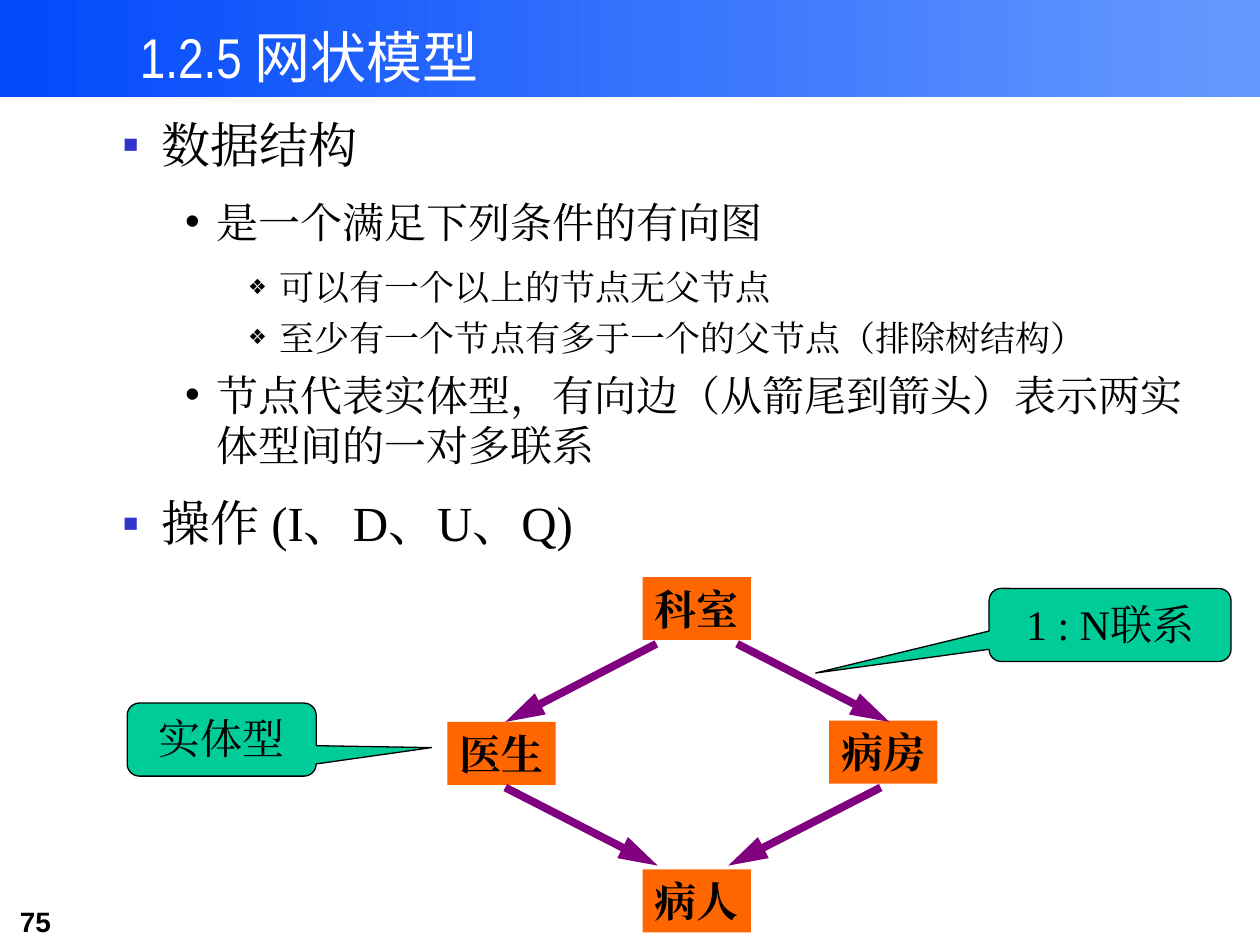
from dataclasses import dataclass

from lxml.etree import SubElement
from pptx import Presentation
from pptx.dml.color import RGBColor
from pptx.enum.shapes import MSO_CONNECTOR, MSO_SHAPE
from pptx.enum.text import MSO_ANCHOR, MSO_AUTO_SIZE, PP_ALIGN
from pptx.oxml.ns import qn
from pptx.util import Inches, Pt

BLACK = RGBColor(0x00, 0x00, 0x00)
WHITE = RGBColor(0xFF, 0xFF, 0xFF)
BAND_DARK = RGBColor(0x02, 0x49, 0xFA)
BAND_LIGHT = RGBColor(0x66, 0x99, 0xFF)
BULLET_BLUE = RGBColor(0x33, 0x33, 0xCC)
NODE_ORANGE = RGBColor(0xFF, 0x66, 0x00)
EDGE_PURPLE = RGBColor(0x80, 0x00, 0x80)
CALLOUT_GREEN = RGBColor(0x00, 0xCC, 0x99)
SERIF = "Times New Roman"
NODE_WIDTH, NODE_HEIGHT = 0.86, 0.5
CALLOUT_HEIGHT = 0.58


@dataclass(frozen=True)
class OutlineLevel:
    bullet: str
    bullet_color: RGBColor
    bullet_percent: int
    margin: float
    hanging: float
    size: int
    before: int
    after: int


@dataclass(frozen=True)
class Node:
    text: str
    left: float
    top: float


@dataclass(frozen=True)
class Edge:
    start: tuple[float, float]
    end: tuple[float, float]


@dataclass(frozen=True)
class Callout:
    text: str
    left: float
    top: float
    width: float
    pointer: tuple[float, float]


LEVELS = (
    OutlineLevel("▪", BULLET_BLUE, 100, 0.81, 0.31, 28, 7, 7),
    OutlineLevel("•", BLACK, 100, 1.25, 0.25, 24, 6, 6),
    OutlineLevel("❖", BLACK, 60, 1.75, 0.25, 20, 5, 0),
)
OUTLINE = (
    (0, "数据结构"),
    (1, "是一个满足下列条件的有向图"),
    (2, "可以有一个以上的节点无父节点"),
    (2, "至少有一个节点有多于一个的父节点（排除树结构）"),
    (1, "节点代表实体型，有向边（从箭尾到箭头）表示两实体型间的一对多联系"),
    (0, "操作 (I、D、U、Q)"),
)
NODES = (
    Node("科室", 5.1, 4.58),
    Node("医生", 3.55, 5.73),
    Node("病房", 6.58, 5.72),
    Node("病人", 5.1, 6.9),
)
EDGES = (
    Edge((5.21, 5.11), (4.01, 5.73)),
    Edge((5.85, 5.11), (7.06, 5.73)),
    Edge((4.01, 6.25), (5.22, 6.87)),
    Edge((6.99, 6.25), (5.78, 6.87)),
)
CALLOUTS = (
    Callout("实体型", 1.01, 5.58, 1.5, (1.111, 0.11)),
    Callout("1 : N联系", 7.85, 4.67, 1.92, (-1.217, 0.658)),
)


def place(shape, left: float, top: float, width: float, height: float) -> None:
    shape.left, shape.top = Inches(left), Inches(top)
    shape.width, shape.height = Inches(width), Inches(height)


def set_font(paragraph, size: int, name: str = SERIF, color: RGBColor = BLACK,
             bold: bool = False) -> None:
    font = paragraph.font
    font.size, font.name, font.bold = Pt(size), name, bold
    font.color.rgb = color
    defaults = paragraph._p.pPr.find(qn("a:defRPr"))
    SubElement(defaults, qn("a:ea"), typeface=name)


def set_bullet(paragraph, level: OutlineLevel) -> None:
    properties = paragraph._p.get_or_add_pPr()
    properties.set("marL", str(Inches(level.margin)))
    properties.set("indent", str(-Inches(level.hanging)))
    color = SubElement(properties, qn("a:buClr"))
    SubElement(color, qn("a:srgbClr"), val=str(level.bullet_color))
    SubElement(properties, qn("a:buSzPct"), val=str(level.bullet_percent * 1000))
    SubElement(properties, qn("a:buFont"), typeface="Arial")
    SubElement(properties, qn("a:buChar"), char=level.bullet)


def draw_band(slide) -> None:
    band = slide.shapes.add_shape(MSO_SHAPE.RECTANGLE, 0, 0, Inches(10), Inches(0.77))
    band.shadow.inherit = False
    band.line.fill.background()
    band.fill.gradient()
    band.fill.gradient_angle = 0
    for stop, color in zip(band.fill.gradient_stops, (BAND_DARK, BAND_LIGHT)):
        stop.color.rgb = color
    for stop, position in zip(band.fill.gradient_stops, (0, 1)):
        stop.position = position
    # The band lies behind the title
    slide.shapes._spTree.insert(2, band._element)


def fill_title(title) -> None:
    place(title, 1.01, -0.14, 6.67, 0.9)
    frame = title.text_frame
    frame.auto_size = MSO_AUTO_SIZE.NONE
    frame.vertical_anchor = MSO_ANCHOR.TOP
    heading = frame.paragraphs[0]
    heading.alignment = PP_ALIGN.LEFT
    heading.line_spacing = 1.5
    for text, name in (("1.2.5 ", "Arial Narrow"), ("网状模型", "Noto Sans CJK SC")):
        part = heading.add_run()
        part.text = text
        part.font.name = name
    set_font(heading, 32, "Noto Sans CJK SC", WHITE)


def fill_outline(body) -> None:
    place(body, 0.37, 0.86, 9.38, 3.64)
    frame = body.text_frame
    frame.auto_size = MSO_AUTO_SIZE.NONE
    for index, (depth, text) in enumerate(OUTLINE):
        item = frame.add_paragraph() if index else frame.paragraphs[0]
        level = LEVELS[depth]
        item.text = text
        item.level = depth
        set_bullet(item, level)
        item.space_before = Pt(level.before if index else 0)
        item.space_after = Pt(level.after)
        set_font(item, level.size)


def draw_label(slide, kind: MSO_SHAPE, text: str, box: tuple[float, ...],
               fill: RGBColor, bold: bool = False):
    label = slide.shapes.add_shape(kind, *map(Inches, box))
    label.shadow.inherit = False
    label.fill.solid()
    label.fill.fore_color.rgb = fill
    caption = label.text_frame.paragraphs[0]
    caption.text = text
    caption.alignment = PP_ALIGN.CENTER
    set_font(caption, 24, bold=bold)
    return label


def draw_node(slide, node: Node) -> None:
    box = (node.left, node.top, NODE_WIDTH, NODE_HEIGHT)
    shape = draw_label(slide, MSO_SHAPE.RECTANGLE, node.text, box, NODE_ORANGE, bold=True)
    shape.line.fill.background()
    shape.text_frame.word_wrap = False
    shape.text_frame.vertical_anchor = MSO_ANCHOR.MIDDLE


def draw_edge(slide, edge: Edge) -> None:
    arrow = slide.shapes.add_connector(
        MSO_CONNECTOR.STRAIGHT, *map(Inches, edge.start + edge.end))
    arrow.line.color.rgb = EDGE_PURPLE
    arrow.line.width = Pt(4.5)
    SubElement(arrow.line._get_or_add_ln(), qn("a:tailEnd"),
               type="triangle", w="med", len="lg")
    SubElement(arrow._element.spPr, qn("a:effectLst"))


def draw_callout(slide, callout: Callout) -> None:
    box = (callout.left, callout.top, callout.width, CALLOUT_HEIGHT)
    shape = draw_label(slide, MSO_SHAPE.ROUNDED_RECTANGULAR_CALLOUT, callout.text,
                       box, CALLOUT_GREEN)
    shape.line.color.rgb = BLACK
    shape.line.width = Pt(0.75)
    shape.text_frame.vertical_anchor = MSO_ANCHOR.TOP
    for index, value in enumerate(callout.pointer):
        shape.adjustments[index] = value


def draw_page_number(slide) -> None:
    box = slide.shapes.add_textbox(*map(Inches, (0.06, 7.13, 1.22, 0.37)))
    box.text_frame.word_wrap = True
    number = box.text_frame.paragraphs[0]
    number.text = "75"
    set_font(number, 16, "Arial", bold=True)


def main() -> None:
    presentation = Presentation()
    presentation.slide_width, presentation.slide_height = Inches(10), Inches(7.5)
    slide = presentation.slides.add_slide(presentation.slide_layouts[1])

    # Heading, outline and page number
    draw_band(slide)
    draw_page_number(slide)
    fill_title(slide.shapes.title)
    fill_outline(slide.placeholders[1])

    # Network diagram
    for node in NODES:
        draw_node(slide, node)
    for edge in EDGES:
        draw_edge(slide, edge)
    for callout in CALLOUTS:
        draw_callout(slide, callout)

    presentation.save("out.pptx")


if __name__ == "__main__":
    main()
